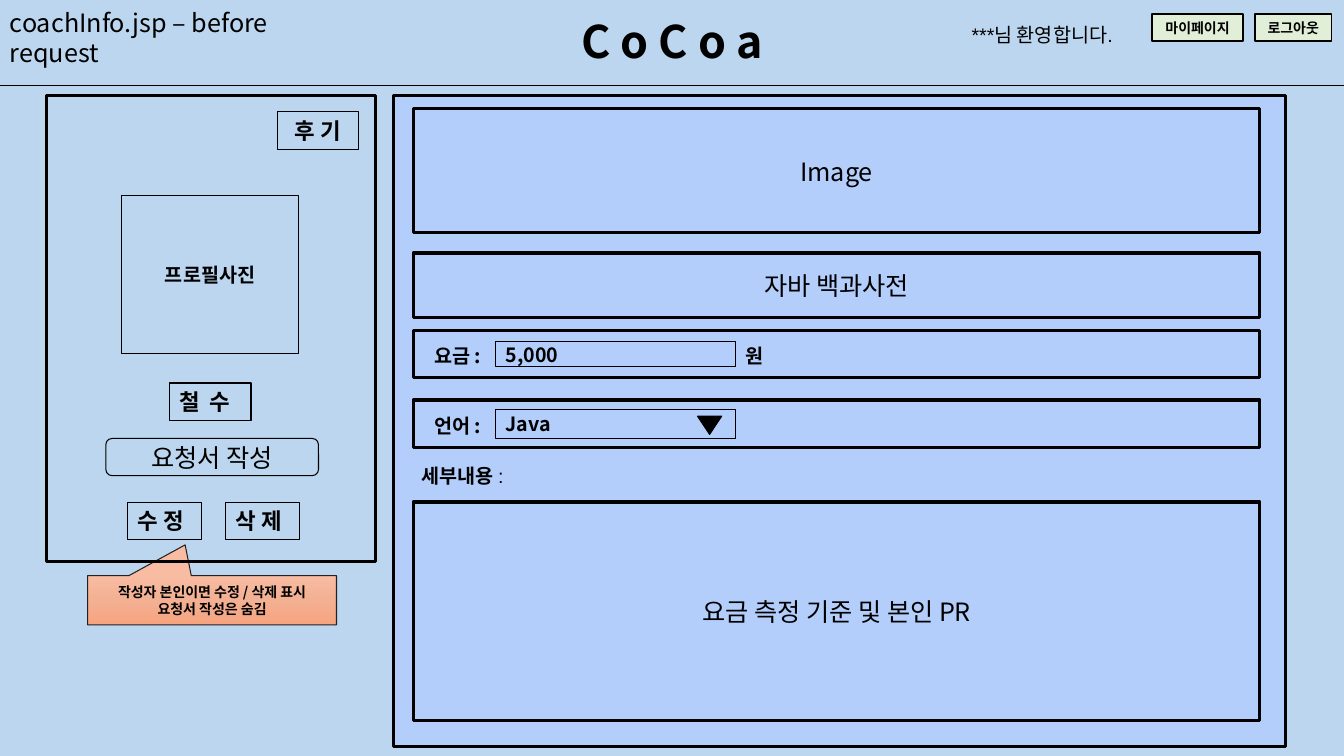
from copy import deepcopy

from lxml import etree
from pptx import Presentation
from pptx.dml.color import RGBColor
from pptx.enum import shapes, text
from pptx.oxml import ns
from pptx.util import Pt

SKY = RGBColor(0xBB, 0xD6, 0xEE)
PANEL = RGBColor(0xB3, 0xCE, 0xFB)
MINT = RGBColor(0xE1, 0xEF, 0xD8)
BLACK = RGBColor(0, 0, 0)
CALLOUT_LINE = RGBColor(0x21, 0x21, 0x21)
CALLOUT_STOPS = [RGBColor(0xF7, 0xBC, 0xA2), RGBColor(0xF4, 0xB0, 0x93), RGBColor(0xF7, 0xA4, 0x7F)]
FONT = "Noto Sans CJK KR"
THIN, BUTTON, MEDIUM, THICK = 0.75, 1, 2, 2.25
RECT = shapes.MSO_SHAPE.RECTANGLE
CENTER, LEFT = text.PP_ALIGN.CENTER, text.PP_ALIGN.LEFT


def style_run(r, size, bold, font):
    """Set the size, weight, colour and typefaces of a run."""
    r.font.size, r.font.bold, r.font.name = Pt(size), bold, font
    r.font.color.rgb = BLACK
    ea = etree.SubElement(r._r.get_or_add_rPr(), ns.qn("a:ea"))
    ea.set("typeface", FONT)


def write(sp, label, size, bold=False, align=CENTER, grow=False, font=FONT):
    """Fill a shape with text, growing from the top or centred vertically."""
    tf = sp.text_frame
    tf.text = label
    tf.word_wrap = True
    tf.vertical_anchor = text.MSO_ANCHOR.TOP if grow else text.MSO_ANCHOR.MIDDLE
    if grow:
        tf.auto_size = text.MSO_AUTO_SIZE.SHAPE_TO_FIT_TEXT
    for p in tf.paragraphs:
        p.alignment = align
        for r in p.runs:
            style_run(r, size, bold, font)


def add_box(s, x, y, w, h, weight, fill=None, kind=RECT):
    """Draw an outlined shape, hollow unless a fill is given."""
    sp = s.shapes.add_shape(kind, Pt(x), Pt(y), Pt(w), Pt(h))
    sp.shadow.inherit = False
    if fill is None:
        sp.fill.background()
    else:
        sp.fill.solid()
        sp.fill.fore_color.rgb = fill
    sp.line.color.rgb = BLACK
    sp.line.width = Pt(weight)
    return sp


def add_label(s, x, y, w, h, label, size, bold=False, align=LEFT, font=FONT):
    """Place a plain text box and return it."""
    sp = s.shapes.add_textbox(Pt(x), Pt(y), Pt(w), Pt(h))
    write(sp, label, size, bold, align, grow=True, font=font)
    return sp


def add_header(s, x, y, w, h):
    """Draw the top bar with page name, site title, greeting and buttons."""
    rule = s.shapes.add_connector(shapes.MSO_CONNECTOR.STRAIGHT, Pt(x), Pt(y + h), Pt(x + w), Pt(y + h))
    rule.line.color.rgb = BLACK
    rule.line.width = Pt(THIN)
    etree.SubElement(rule._element.spPr, ns.qn("a:effectLst"))
    add_label(s, x + 363.6, y + 6.5, 233.3, 46.1, "C o C o a", 32, True, CENTER)
    add_label(s, x, y + 1.4, 264.2, 28.8, "coachInfo.jsp – before request", 18)
    add_label(s, x + 686.9, y + 13, 123.1, 24.5, "***님 환영합니다.", 14, font="Arial")
    for left, width, label in [(823, 64.8, "마이페이지"), (896.4, 54.7, "로그아웃")]:
        sp = add_box(s, x + left, y + 10.1, width, 19.4, BUTTON, MINT)
        write(sp, label, 10, True, grow=True)


def add_callout(s, x, y, w, h):
    """Draw the orange note that points at the edit button."""
    sp = add_box(s, x, y, w, h, THIN, kind=shapes.MSO_SHAPE.RECTANGULAR_CALLOUT)
    sp.adjustments[0], sp.adjustments[1] = -0.108, -1.121
    sp.line.color.rgb = CALLOUT_LINE
    sp.fill.gradient()
    sp.fill.gradient_angle = 270
    first = sp._element.spPr.find(".//" + ns.qn("a:gs"))
    first.addnext(deepcopy(first))
    for i, (stop, color) in enumerate(zip(sp.fill.gradient_stops, CALLOUT_STOPS)):
        stop.color.rgb = color
        stop.position = i / 2
    write(sp, "작성자 본인이면 수정 / 삭제 표시\n요청서 작성은 숨김", 10, True)


def add_profile(s, x, y, w, h):
    """Draw the coach card with photo, name and action buttons."""
    add_callout(s, x + 29.5, y + 342.7, 177.8, 35.3)
    add_box(s, x, y, w, h, THICK)
    photo = add_box(s, x + 54, y + 71.3, 126, 113, THIN)
    write(photo, "프로필사진", 14, True)
    request = add_box(s, x + 42.5, y + 244.8, 151.9, 26.6, THIN, kind=shapes.MSO_SHAPE.ROUNDED_RECTANGLE)
    write(request, "요청서 작성", 18)
    for left, top, width, label, align, font in [
        (164.9, 11.5, 58.3, "후 기", CENTER, "Arial"),
        (87.9, 205.2, 58.3, "철  수", LEFT, FONT),
        (58.3, 290.2, 52.6, "수 정", LEFT, FONT),
        (128.2, 290.2, 52.6, "삭 제", LEFT, FONT),
    ]:
        sp = add_box(s, x + left, y + top, width, 26.6, THIN)
        write(sp, label, 16, True, align, grow=True, font=font)


def add_field_row(s, x, y, w, h, label, value, field_h):
    """Draw a framed row with a label and a vertically centred field."""
    add_box(s, x, y, w, h, THICK)
    add_label(s, x + 7.9, y + 6.1, 79.2, 24.5, label, 14, True)
    field = add_box(s, x + 59, y + (h - field_h) / 2, 171.4, field_h, THIN)
    write(field, value, 14, True, LEFT)


def add_details(s, x, y, w, h):
    """Draw the main panel with the lesson details."""
    add_box(s, x, y, w, h, MEDIUM, PANEL)
    left, width, row_h = x + 14.4, 604.8, 33.8
    for top, height, label in [
        (9.4, 88.6, "Image"),
        (112.3, 46.1, "자바 백과사전"),
        (290.2, 156.2, "요금 측정 기준 및 본인 PR"),
    ]:
        write(add_box(s, left, y + top, width, height, THICK), label, 18)

    fee_y, language_y = y + 167.8, y + 217.4
    add_field_row(s, left, fee_y, width, row_h, "요금 :", "5,000", 18)
    add_label(s, left + 230.4, fee_y + 5.8, 27.4, 24.5, "원", 14, True)
    add_field_row(s, left, language_y, width, row_h, "언어 :", "Java", 20.9)
    arrow = add_box(s, left + 203, language_y + 11.5, 17.3, 13, THIN, BLACK, shapes.MSO_SHAPE.ISOSCELES_TRIANGLE)
    arrow.rotation = 180

    caption = add_label(s, x + 13, y + 259.2, 136.1, 24.5, "세부내용 ", 14, True, font="Arial")
    r = caption.text_frame.paragraphs[0].add_run()
    r.text = ":"
    style_run(r, 14, False, "Arial")


def main():
    """Build the coach information screen and save it."""
    prs = Presentation()
    prs.slide_width, prs.slide_height = Pt(960), Pt(540)
    s = prs.slides.add_slide(prs.slide_layouts[6])
    s.background.fill.solid()
    s.background.fill.fore_color.rgb = SKY
    add_details(s, 280.8, 68.4, 637.2, 465.1)
    add_header(s, 0, 0, 960, 61.2)
    add_profile(s, 33.1, 68.4, 235.4, 332.6)
    prs.save("out.pptx")


if __name__ == "__main__":
    main()
